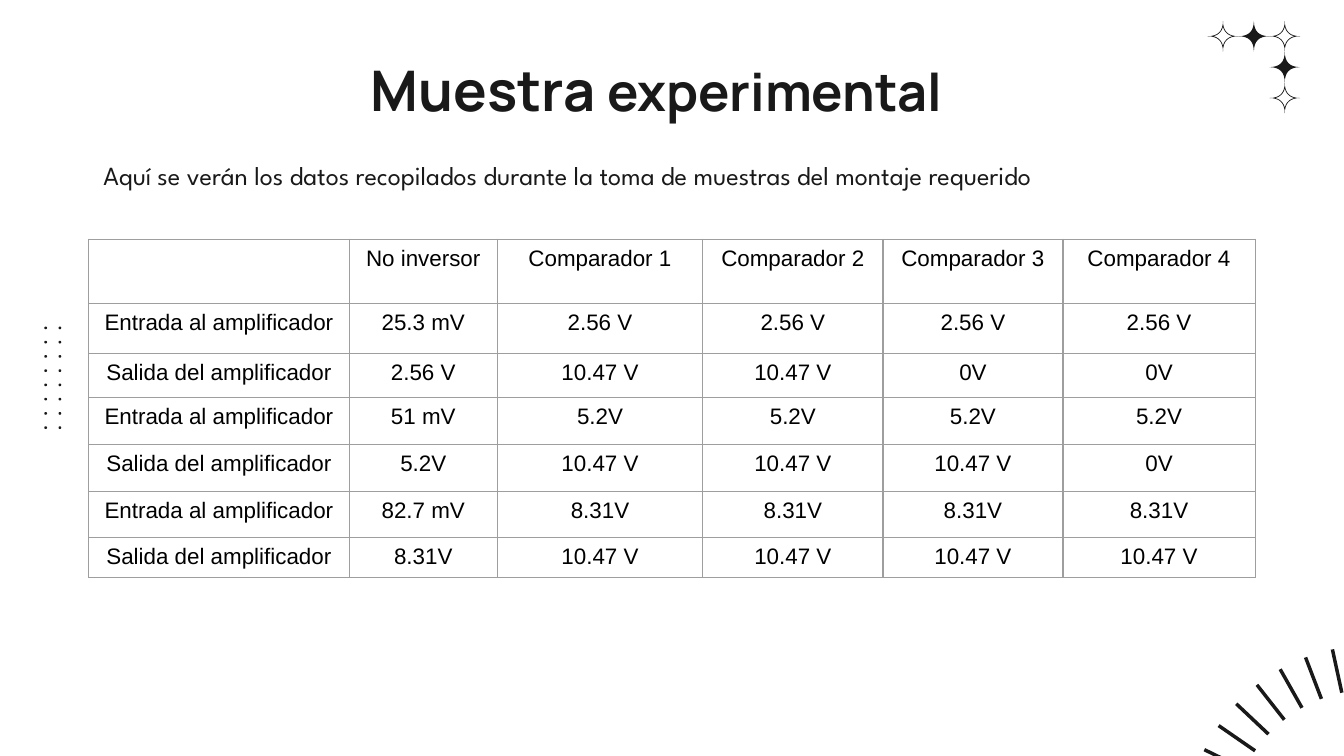
from math import cos, radians, sin

from lxml import etree
from pptx import Presentation
from pptx.dml.color import RGBColor
from pptx.enum.shapes import MSO_SHAPE
from pptx.enum.text import MSO_ANCHOR, PP_ALIGN
from pptx.oxml.ns import qn
from pptx.util import Inches, Pt

INK = "191919"
GRID = "9E9E9E"
INPUT = "Entrada al amplificador"
OUTPUT = "Salida del amplificador"
READINGS = [
    ["", "No inversor"] + [f"Comparador {n}" for n in range(1, 5)],
    [INPUT, "25.3 mV"] + ["2.56 V"] * 4,
    [OUTPUT, "2.56 V", "10.47 V", "10.47 V", "0V", "0V"],
    [INPUT, "51 mV"] + ["5.2V"] * 4,
    [OUTPUT, "5.2V"] + ["10.47 V"] * 3 + ["0V"],
    [INPUT, "82.7 mV"] + ["8.31V"] * 4,
    [OUTPUT, "8.31V"] + ["10.47 V"] * 4,
]
COLUMN_WIDTHS = [1.94, 1.1, 1.53, 1.34, 1.34, 1.43]
ROW_HEIGHTS = [0.48, 0.37, 0.33, 0.35, 0.35, 0.34, 0.29]


def color(value):
    return RGBColor.from_string(value)


def set_font(font, name, value, size=None, bold=False):
    font.name = name
    font.bold = bold
    font.color.rgb = color(value)
    if size:
        font.size = Pt(size)


def paint(shape):
    shape.fill.solid()
    shape.fill.fore_color.rgb = color(INK)
    shape.line.fill.background()
    shape.shadow.inherit = False


def add_outline(slide, contours):
    """Fill closed contours given in inches; a second contour cuts a hole."""
    contours = [[(Inches(x), Inches(y)) for x, y in points] for points in contours]
    builder = slide.shapes.build_freeform(*contours[0][0])
    builder.add_line_segments(contours[0][1:], close=True)
    for hole in contours[1:]:
        builder.move_to(*hole[0])
        builder.add_line_segments(hole[1:], close=True)
    paint(builder.convert_to_shape())


def sparkle_points(x, y, radius, pull, steps=8):
    """Four-pointed star whose sides are Bézier curves pulled to the centre."""
    points = []
    for quarter in range(4):
        turn = radians(90 * quarter)
        for step in range(steps):
            t = step / steps
            along = (1 - t) ** 3 + 3 * pull * t * (1 - t) ** 2
            across = 3 * pull * t ** 2 * (1 - t) + t ** 3
            points.append((
                x + radius * (along * cos(turn) - across * sin(turn)),
                y + radius * (along * sin(turn) + across * cos(turn)),
            ))
    return points


def add_sparkles(slide):
    left, top, gap = 9.1, 0.27, 0.23
    for column, row, hollow in [(0, 0, True), (1, 0, False), (2, 0, True),
                                (2, 1, False), (2, 2, True)]:
        x, y = left + column * gap, top + row * gap
        contours = [sparkle_points(x, y, 0.115, 0.33)]
        if hollow:
            contours.append(sparkle_points(x, y, 0.08, 0.5)[::-1])
        add_outline(slide, contours)


def add_rays(slide):
    center_x, center_y = 10.21, 6.19
    inner, outer, half_width = 1.06, 1.39, 0.013
    for number in range(7):
        angle = radians(77.7 - 8.6 * number)
        corners = [(outer, half_width), (outer, -half_width),
                   (inner, -half_width), (inner, half_width)]
        add_outline(slide, [[
            (center_x - reach * cos(angle) - side * sin(angle),
             center_y - reach * sin(angle) + side * cos(angle))
            for reach, side in corners
        ]])


def add_dots(slide):
    size, gap = Inches(0.02), 0.106
    for column in range(2):
        for row in range(8):
            paint(slide.shapes.add_shape(
                MSO_SHAPE.OVAL, Inches(0.33 + column * gap),
                Inches(2.43 + row * gap), size, size))


def prepare_frame(frame):
    frame.word_wrap = True
    frame.vertical_anchor = MSO_ANCHOR.TOP
    frame.margin_left = frame.margin_right = Inches(0.1)
    frame.margin_top = frame.margin_bottom = Inches(0.1)
    return frame.paragraphs[0]


def add_title(slide):
    title = slide.shapes.title
    title.left, title.top = Inches(0.67), Inches(0.31)
    title.width, title.height = Inches(8.43), Inches(0.63)
    heading = prepare_frame(title.text_frame)
    heading.alignment = PP_ALIGN.CENTER
    set_font(heading.font, "Manrope", INK, bold=True)
    for words, size in [("Muestra ", 30), ("experimental", 28)]:
        run = heading.add_run()
        run.text = words
        run.font.size = Pt(size)


def add_introduction(slide):
    box = slide.shapes.add_textbox(
        Inches(0.67), Inches(1.05), Inches(8.71), Inches(0.63))
    sentence = prepare_frame(box.text_frame)
    sentence.text = ("Aquí se verán los datos recopilados durante "
                     "la toma de muestras del montaje requerido")
    sentence.alignment = PP_ALIGN.JUSTIFY
    sentence.line_spacing = 1.15
    set_font(sentence.font, "League Spartan", INK, 14)


def add_borders(cell):
    properties = cell._tc.get_or_add_tcPr()
    for side in ("a:lnL", "a:lnR", "a:lnT", "a:lnB"):
        border = etree.SubElement(properties, qn(side), w=str(Pt(0.75)))
        fill = etree.SubElement(border, qn("a:solidFill"))
        etree.SubElement(fill, qn("a:srgbClr"), val=GRID)


def fill_cell(cell, reading):
    add_borders(cell)
    cell.fill.background()
    cell.margin_top = cell.margin_bottom = Inches(0.05)
    cell.margin_left = cell.margin_right = Inches(0.05)
    paragraph = cell.text_frame.paragraphs[0]
    paragraph.text = reading
    paragraph.alignment = PP_ALIGN.CENTER
    set_font(paragraph.font, "Arial", "000000", 12)


def add_readings(slide):
    table = slide.shapes.add_table(
        len(ROW_HEIGHTS), len(COLUMN_WIDTHS), Inches(0.66), Inches(1.78),
        Inches(sum(COLUMN_WIDTHS)), Inches(sum(ROW_HEIGHTS))).table
    table.first_row = table.horz_banding = False
    for column, width in zip(table.columns, COLUMN_WIDTHS):
        column.width = Inches(width)
    for row, height, readings in zip(table.rows, ROW_HEIGHTS, READINGS):
        row.height = Inches(height)
        for cell, reading in zip(row.cells, readings):
            fill_cell(cell, reading)


def main():
    presentation = Presentation()
    presentation.slide_width = Inches(10)
    presentation.slide_height = Inches(10) * 9 // 16
    slide = presentation.slides.add_slide(presentation.slide_layouts[5])
    slide.background.fill.solid()
    slide.background.fill.fore_color.rgb = color("FFFFFF")
    add_rays(slide)
    add_dots(slide)
    add_sparkles(slide)
    add_title(slide)
    add_introduction(slide)
    add_readings(slide)
    presentation.save("out.pptx")


if __name__ == "__main__":
    main()
